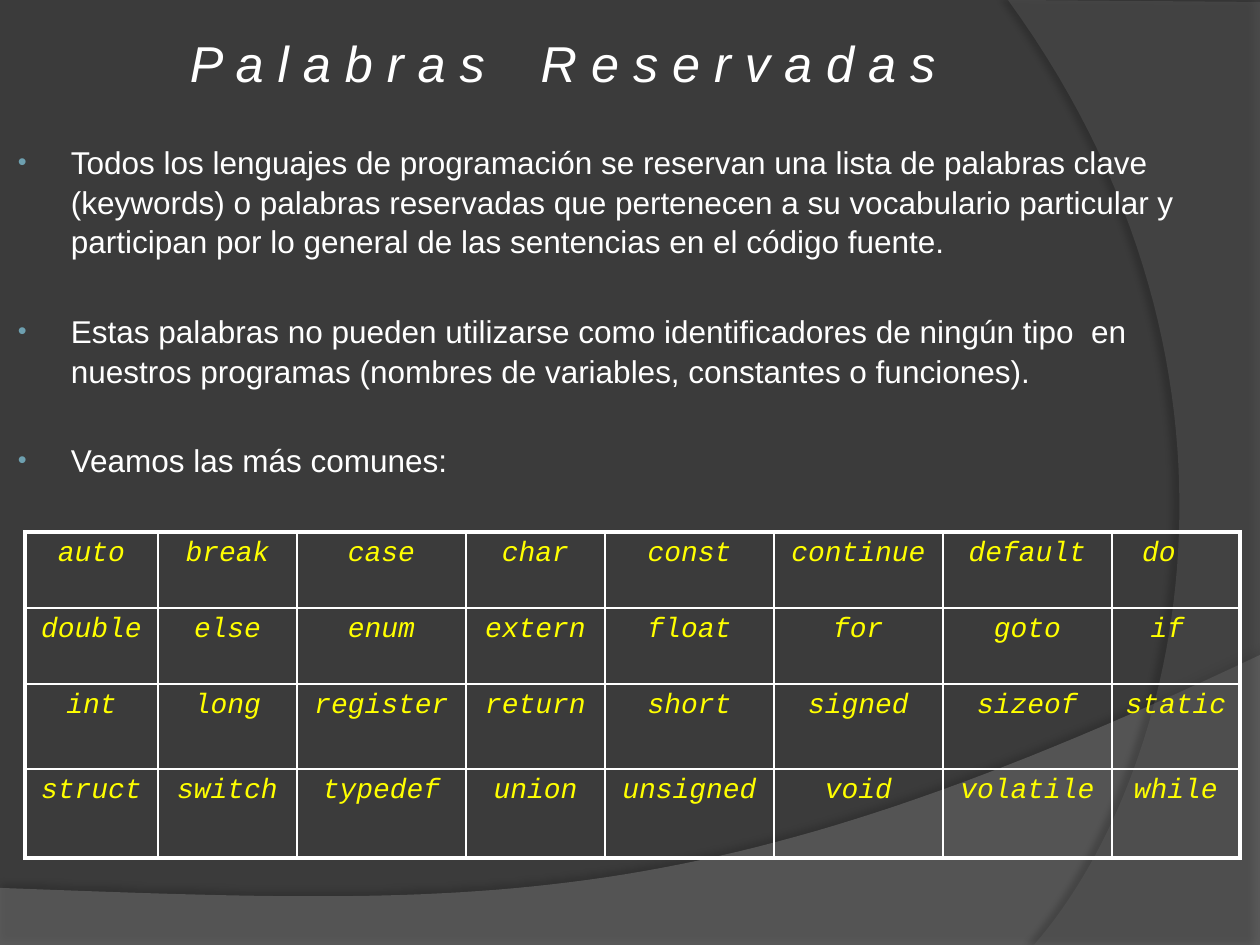
from dataclasses import dataclass
from typing import Optional

from lxml.etree import SubElement
from pptx import Presentation
from pptx.dml.color import RGBColor
from pptx.enum.text import MSO_ANCHOR as ANCHOR, PP_ALIGN as ALIGN
from pptx.oxml.ns import qn
from pptx.util import Emu, Pt

PX = 914400 // 126
WHITE, YELLOW, TEAL = "FFFFFF", "FFFF00", "6EA0B0"
Point = tuple[int, int]


@dataclass
class Wave:
    corners: list[Point]
    controls: list[Point]
    color: str
    opacity: int
    shadow_opacity: int
    shadow_distance: float
    shadow_angle: int


@dataclass
class Style:
    font: str
    size: float
    color: str
    italic: bool = False


WAVES = [
    Wave([(0, 888), (0, 945), (1260, 945), (1260, 655)],
         [(704, 919), (493, 906), (0, 888)], "7F7F7F", 45, 35, 3.5, 270),
    Wave([(1260, 2), (1260, 945), (1034, 945)],
         [(1178, 780), (1283, 378), (1008, 0)], "5E5E5E", 40, 45, 4, 180),
]
TITLE = Style("Arial", 28.8, WHITE, True)
BODY = Style("Arial", 18, WHITE)
CODE = Style("Courier New", 16, YELLOW, True)
BULLETS = [
    "Todos los lenguajes de programación se reservan una lista de palabras clave "
    "(keywords) o palabras reservadas que pertenecen a su vocabulario particular y "
    "participan por lo general de las sentencias en el código fuente.",
    "Estas palabras no pueden utilizarse como identificadores de ningún tipo  en "
    "nuestros programas (nombres de variables, constantes o funciones).",
    "Veamos las más comunes:",
]
KEYWORDS = [
    "auto break case char const continue default do".split(),
    "double else enum extern float for goto if".split(),
    "int long register return short signed sizeof static".split(),
    "struct switch typedef union unsigned void volatile while".split(),
]
COLUMNS = [133, 139, 169, 139, 169, 169, 169, 128]
ROWS = [76, 76, 85, 89]
CELL_MARGIN = 9
EXTRA_RIGHT = {"do": 34, "if": 17}


def px(n: float) -> Emu:
    return Emu(round(n * PX))


def rgb(color: str) -> RGBColor:
    return RGBColor.from_string(color)


def add_color(parent, color: str, opacity: Optional[int] = None) -> None:
    clr = SubElement(parent, qn("a:srgbClr"), val=color)
    if opacity is not None:
        SubElement(clr, qn("a:alpha"), val=str(opacity * 1000))


def add_run(p, text: str, style: Style) -> None:
    r = p.add_run()
    r.text = text
    r.font.name, r.font.size = style.font, Pt(style.size)
    r.font.italic, r.font.bold = style.italic, False
    r.font.color.rgb = rgb(style.color)


def bezier(points: list[Point], t: float) -> tuple[float, float]:
    weights = ((1 - t) ** 3, 3 * t * (1 - t) ** 2, 3 * t * t * (1 - t), t ** 3)
    return (sum(w * x for w, (x, _) in zip(weights, points)),
            sum(w * y for w, (_, y) in zip(weights, points)))


def add_wave(slide, wave: Wave, steps: int = 60) -> None:
    curve = [wave.corners[-1], *wave.controls]
    points = wave.corners[1:] + [bezier(curve, i / steps) for i in range(1, steps + 1)]
    builder = slide.shapes.build_freeform(*map(px, wave.corners[0]), scale=1.0)
    builder.add_line_segments([(px(x), px(y)) for x, y in points], close=True)
    sp = builder.convert_to_shape()
    sp.fill.solid()
    sp.fill.fore_color.rgb = rgb(wave.color)
    clr = sp.fill._xPr.find(qn("a:solidFill"))[0]
    SubElement(clr, qn("a:alpha"), val=str(wave.opacity * 1000))
    sp.line.fill.background()
    sp.shadow.inherit = False
    effects = sp.element.spPr.find(qn("a:effectLst"))
    shadow = SubElement(effects, qn("a:outerShdw"), blurRad=str(Pt(4)),
                        dist=str(Pt(wave.shadow_distance)),
                        dir=str(wave.shadow_angle * 60000), rotWithShape="0")
    add_color(shadow, "000000", wave.shadow_opacity)


def add_text_box(slide, left: int, top: int, width: int, height: int):
    tf = slide.shapes.add_textbox(px(left), px(top), px(width), px(height)).text_frame
    tf.word_wrap = True
    return tf


def add_title(slide) -> None:
    tf = add_text_box(slide, 184, 35, 950, 55)
    tf.vertical_anchor = ANCHOR.MIDDLE
    tf.margin_left = tf.margin_right = tf.margin_top = tf.margin_bottom = px(6)
    add_run(tf.paragraphs[0], "P a l a b r a s    R e s e r v a d a s", TITLE)


def add_bullets(slide) -> None:
    tf = add_text_box(slide, 0, 135, 1260, 810)
    tf.margin_left = px(13)
    for i, text in enumerate(BULLETS):
        p = tf.paragraphs[0] if i == 0 else tf.add_paragraph()
        p.line_spacing = 1.05
        p.space_before = Pt(28.5 if i else 0)
        pPr = p._p.get_or_add_pPr()
        pPr.set("marL", str(px(58)))
        pPr.set("indent", str(px(-53)))
        add_color(SubElement(pPr, qn("a:buClr")), TEAL)
        SubElement(pPr, qn("a:buSzPct"), val="80000")
        SubElement(pPr, qn("a:buFont"), typeface="Arial")
        SubElement(pPr, qn("a:buChar"), char="•")
        add_run(p, text, BODY)


def add_borders(cell, outer: dict[str, bool]) -> None:
    tcPr = cell._tc.get_or_add_tcPr()
    for i, (side, is_outer) in enumerate(outer.items()):
        ln = tcPr.makeelement(qn(f"a:ln{side}"), {"w": str(Pt(2.25 if is_outer else 1))})
        add_color(SubElement(ln, qn("a:solidFill")), WHITE)
        tcPr.insert(i, ln)


def add_keywords(slide) -> None:
    table = slide.shapes.add_table(len(ROWS), len(COLUMNS), px(25), px(532),
                                   px(sum(COLUMNS)), px(sum(ROWS))).table
    table.first_row = table.horz_banding = False
    for column, width in zip(table.columns, COLUMNS):
        column.width = px(width)
    for row, height in zip(table.rows, ROWS):
        row.height = px(height)
    for i, words in enumerate(KEYWORDS):
        for j, word in enumerate(words):
            cell = table.cell(i, j)
            cell.fill.background()
            cell.margin_left = px(CELL_MARGIN)
            cell.margin_right = px(CELL_MARGIN + EXTRA_RIGHT.get(word, 0))
            add_borders(cell, {"L": j == 0, "R": j == len(COLUMNS) - 1,
                               "T": i == 0, "B": i == len(ROWS) - 1})
            p = cell.text_frame.paragraphs[0]
            p.alignment = ALIGN.CENTER
            add_run(p, word, CODE)


def main() -> None:
    prs = Presentation()
    prs.slide_width, prs.slide_height = px(1260), px(945)
    slide = prs.slides.add_slide(prs.slide_layouts[6])
    slide.background.fill.solid()
    slide.background.fill.fore_color.rgb = rgb("3B3B3B")
    for wave in WAVES:
        add_wave(slide, wave)
    add_title(slide)
    add_bullets(slide)
    add_keywords(slide)
    prs.save("out.pptx")


main()
